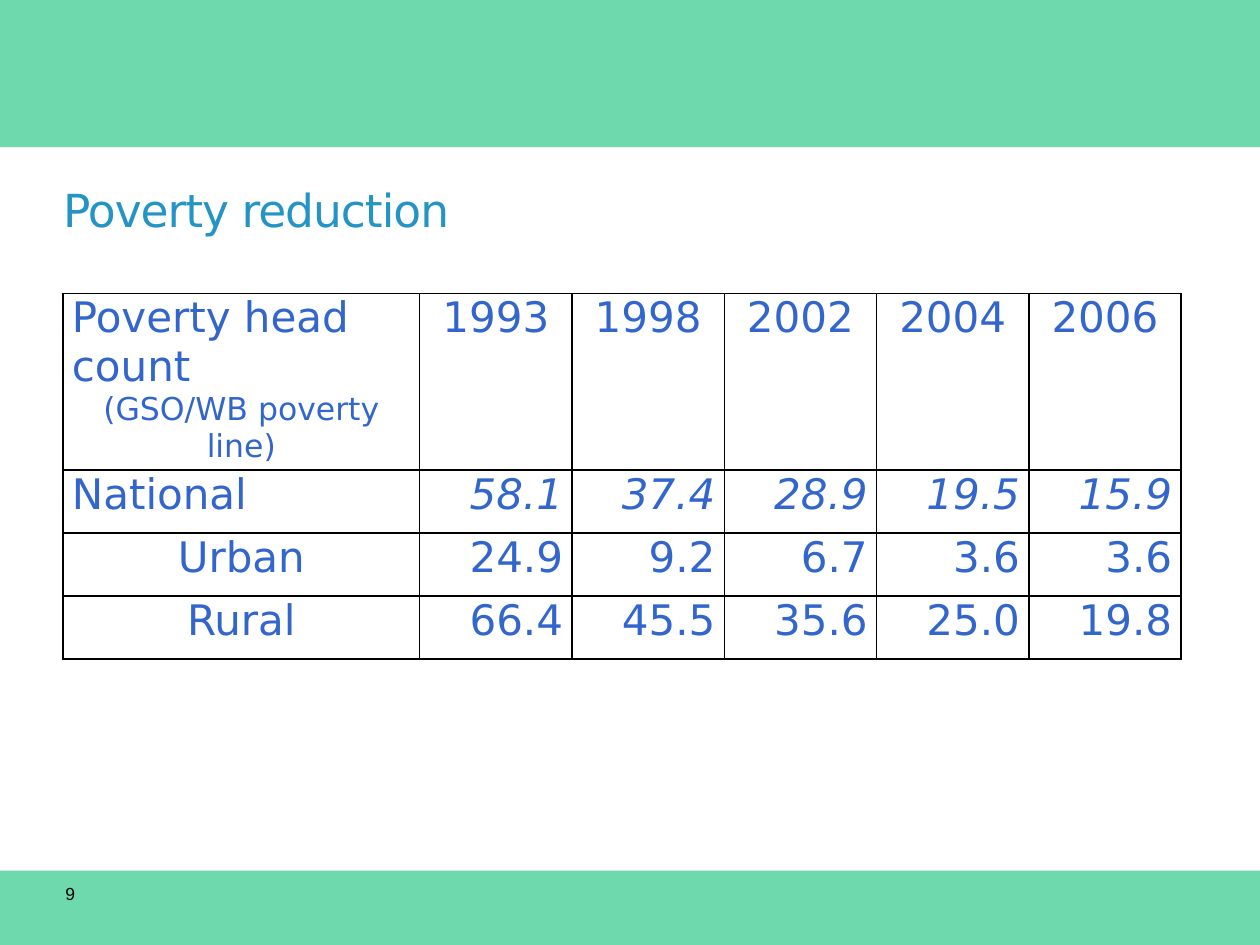
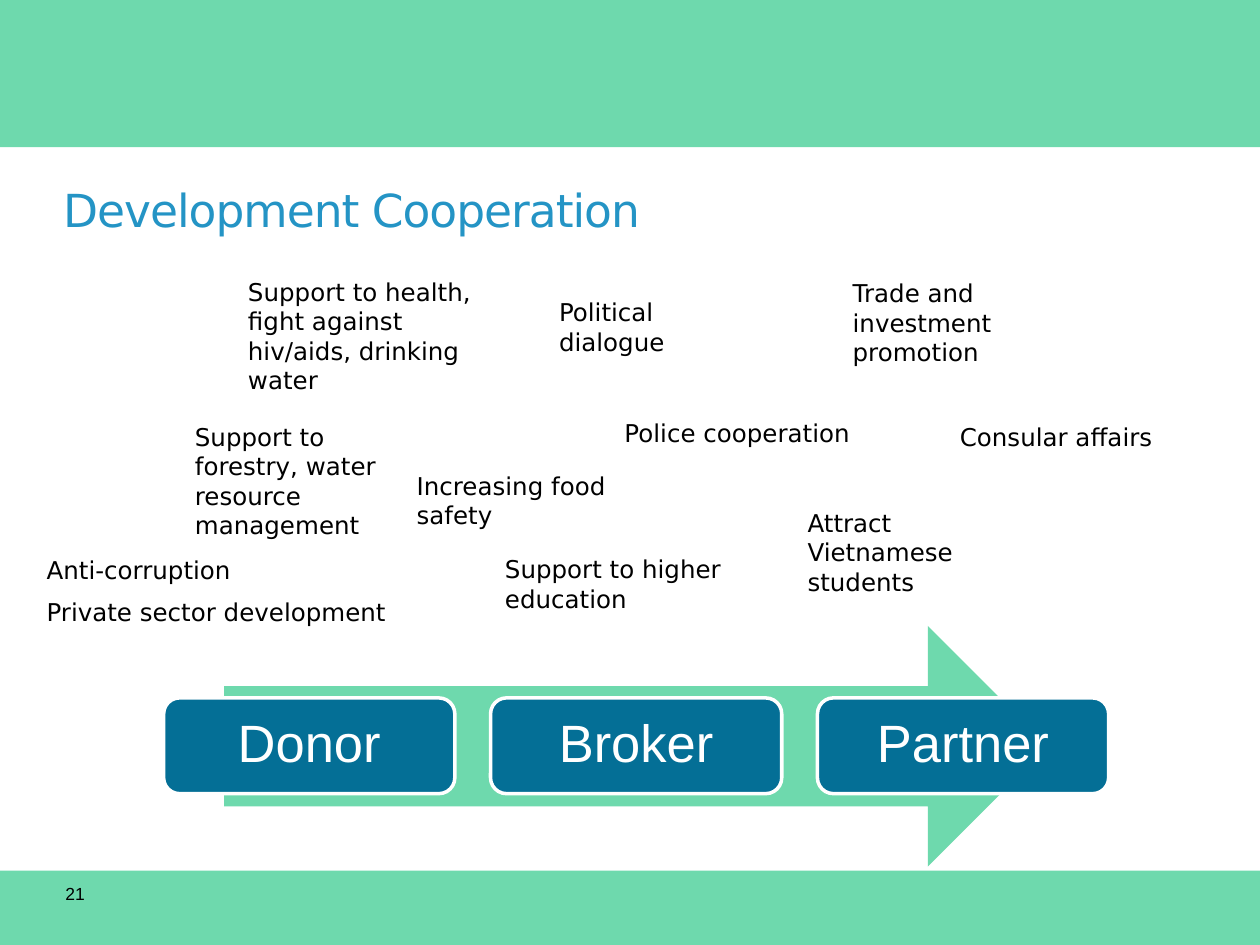
from pptx import Presentation
from pptx.dml.color import RGBColor
from pptx.enum.shapes import MSO_SHAPE as Shape
from pptx.enum.text import MSO_ANCHOR as Anchor, MSO_AUTO_SIZE as AutoSize, PP_ALIGN as Align
from pptx.oxml import parse_xml
from pptx.oxml.ns import nsdecls
from pptx.util import Cm, Pt

COLORS = {
    "band": "6ED9AD",
    "title": "2494C5",
    "table": "3366CC",
    "role": "046F96",
    "ink": "000000",
    "paper": "FFFFFF",
}
SANS = "DejaVu Sans"
FONTS = {
    "title": {"name": SANS, "size": Pt(26)},
    "page": {"name": "Arial", "size": Pt(10)},
    "table": {"name": SANS, "size": Pt(24)},
    "table_note": {"name": SANS, "size": Pt(18)},
    "topic": {"name": SANS, "size": Pt(14)},
    "role": {"name": "Arial", "size": Pt(30)},
}
CELL_MARGINS = {
    "margin_left": Cm(0.18),
    "margin_right": Cm(0.18),
    "margin_top": 0,
    "margin_bottom": 0,
}
BANDS = [(0, 2.97), (17.55, 1.5)]
YEARS = ["1993", "1998", "2002", "2004", "2006"]
POVERTY = {
    "National": ["58.1", "37.4", "28.9", "19.5", "15.9"],
    "Urban": ["24.9", "9.2", "6.7", "3.6", "3.6"],
    "Rural": ["66.4", "45.5", "35.6", "25.0", "19.8"],
}
TOPICS = [
    (["Support to health, fight against hiv/aids, drinking water"], 4.75, 5.46, 5.2, 2.62),
    (["Support to forestry, water resource management"], 3.68, 8.38, 5.2, 2.64),
    (["Police cooperation"], 12.34, 8.31, 5.2, 0.86),
    (["Increasing food safety"], 8.15, 9.37, 5.2, 1.45),
    (["Trade and investment promotion"], 16.94, 5.49, 5.2, 2.06),
    (["Anti-corruption", "Private sector development"], 0.69, 11.07, 7.44, 1.75),
    (["Support to higher education"], 9.93, 11.05, 7.21, 1.45),
    (["Attract Vietnamese students"], 16.03, 10.11, 5.2, 2.06),
    (["Consular affairs"], 19.1, 8.38, 5.2, 0.86),
    (["Political dialogue"], 11.02, 5.87, 3.99, 1.45),
]
ROLES = ["Donor", "Broker", "Partner"]


def rgb(color):
    return RGBColor.from_string(COLORS[color])


def apply(target, values):
    for name, value in values.items():
        setattr(target, name, value)


def write(paragraph, text, style, color, **layout):
    run = paragraph.add_run()
    run.text = text
    apply(run.font, FONTS[style])
    run.font.color.rgb = rgb(color)
    apply(paragraph, layout)
    return run


def add_block(slide, preset, color, left, top, width, height):
    block = slide.shapes.add_shape(preset, Cm(left), Cm(top), Cm(width), Cm(height))
    block.shadow.inherit = False
    block.fill.solid()
    block.fill.fore_color.rgb = rgb(color)
    block.line.fill.background()
    return block


def add_text(slide, lines, style, left, top, width, height, **frame_format):
    box = slide.shapes.add_textbox(Cm(left), Cm(top), Cm(width), Cm(height))
    frame = box.text_frame
    apply(frame, {"word_wrap": True, **frame_format})
    for index, line in enumerate(lines):
        paragraph = frame.add_paragraph() if index else frame.paragraphs[0]
        write(paragraph, line, style, "ink", space_before=Pt(7 if index else 0))


def share_bands(slide):
    for top, height in BANDS:
        band = add_block(slide, Shape.RECTANGLE, "band", 0, top, 25.4, height)
        slide.slide_layout.shapes.element.append(band.element)


def add_slide(deck, heading, heading_width, page):
    slide = deck.slides.add_slide(deck.slide_layouts[5])
    title = slide.shapes.title
    apply(title, {"left": Cm(1.02), "top": Cm(3.43), "width": Cm(heading_width), "height": Cm(1.57)})
    apply(title.text_frame, {
        "word_wrap": True,
        "auto_size": AutoSize.NONE,
        "vertical_anchor": Anchor.MIDDLE,
    })
    run = write(title.text_frame.paragraphs[0], heading, "title", "title", alignment=Align.LEFT)
    run._r.get_or_add_rPr().set("spc", "-60")
    add_text(slide, [page], "page", 1.07, 17.68, 1.98, 1.02)
    return slide


def outline_cell(cell):
    properties = cell._tc.get_or_add_tcPr()
    for index, side in enumerate("LRTB"):
        properties.insert(index, parse_xml(
            f'<a:ln{side} {nsdecls("a")} w="12700"><a:solidFill>'
            f'<a:srgbClr val="{COLORS["ink"]}"/></a:solidFill></a:ln{side}>'
        ))


def fill_cell(cell, text, align, italic=False):
    apply(cell, CELL_MARGINS)
    cell.fill.background()
    outline_cell(cell)
    run = write(cell.text_frame.paragraphs[0], text, "table", "table", alignment=align)
    run.font.italic = italic


def add_poverty_table(slide):
    widths = [7.19] + [3.07] * len(YEARS)
    heights = [3.45] + [1.27] * len(POVERTY)
    table = slide.shapes.add_table(
        len(heights), len(widths), Cm(1.27), Cm(5.92), Cm(sum(widths)), Cm(sum(heights))
    ).table
    apply(table, {"first_row": False, "horz_banding": False})
    for column, width in zip(table.columns, widths):
        column.width = Cm(width)
    for row, height in zip(table.rows, heights):
        row.height = Cm(height)

    corner = table.cell(0, 0)
    fill_cell(corner, "Poverty head count", Align.LEFT)
    write(corner.text_frame.add_paragraph(), "(GSO/WB poverty line)", "table_note", "table",
          alignment=Align.CENTER)
    for column, year in enumerate(YEARS, 1):
        fill_cell(table.cell(0, column), year, Align.CENTER)
    for row, (area, rates) in enumerate(POVERTY.items(), 1):
        national = area == "National"
        fill_cell(table.cell(row, 0), area, Align.LEFT if national else Align.CENTER)
        for column, rate in enumerate(rates, 1):
            fill_cell(table.cell(row, column), rate, Align.RIGHT, italic=national)


def add_role(slide, role, left):
    card = add_block(slide, Shape.ROUNDED_RECTANGLE, "role", left, 14.07, 5.87, 1.93)
    card.line.color.rgb = rgb("paper")
    card.line.width = Pt(2)
    card.text_frame.vertical_anchor = Anchor.MIDDLE
    write(card.text_frame.paragraphs[0], role, "role", "paper",
          alignment=Align.CENTER, line_spacing=0.9)


def main():
    deck = Presentation()
    apply(deck, {"slide_width": Cm(25.4), "slide_height": Cm(19.05)})

    poverty = add_slide(deck, "Poverty reduction", 11.46, "9")
    share_bands(poverty)
    add_poverty_table(poverty)

    cooperation = add_slide(deck, "Development Cooperation", 16.79, "21")
    for lines, *place in TOPICS:
        add_text(cooperation, lines, "topic", *place, auto_size=AutoSize.SHAPE_TO_FIT_TEXT)
    add_block(cooperation, Shape.RIGHT_ARROW, "band", 4.52, 12.62, 16.61, 4.85)
    for index, role in enumerate(ROLES):
        add_role(cooperation, role, 3.3 + 6.59 * index)

    deck.save("out.pptx")


if __name__ == "__main__":
    main()
